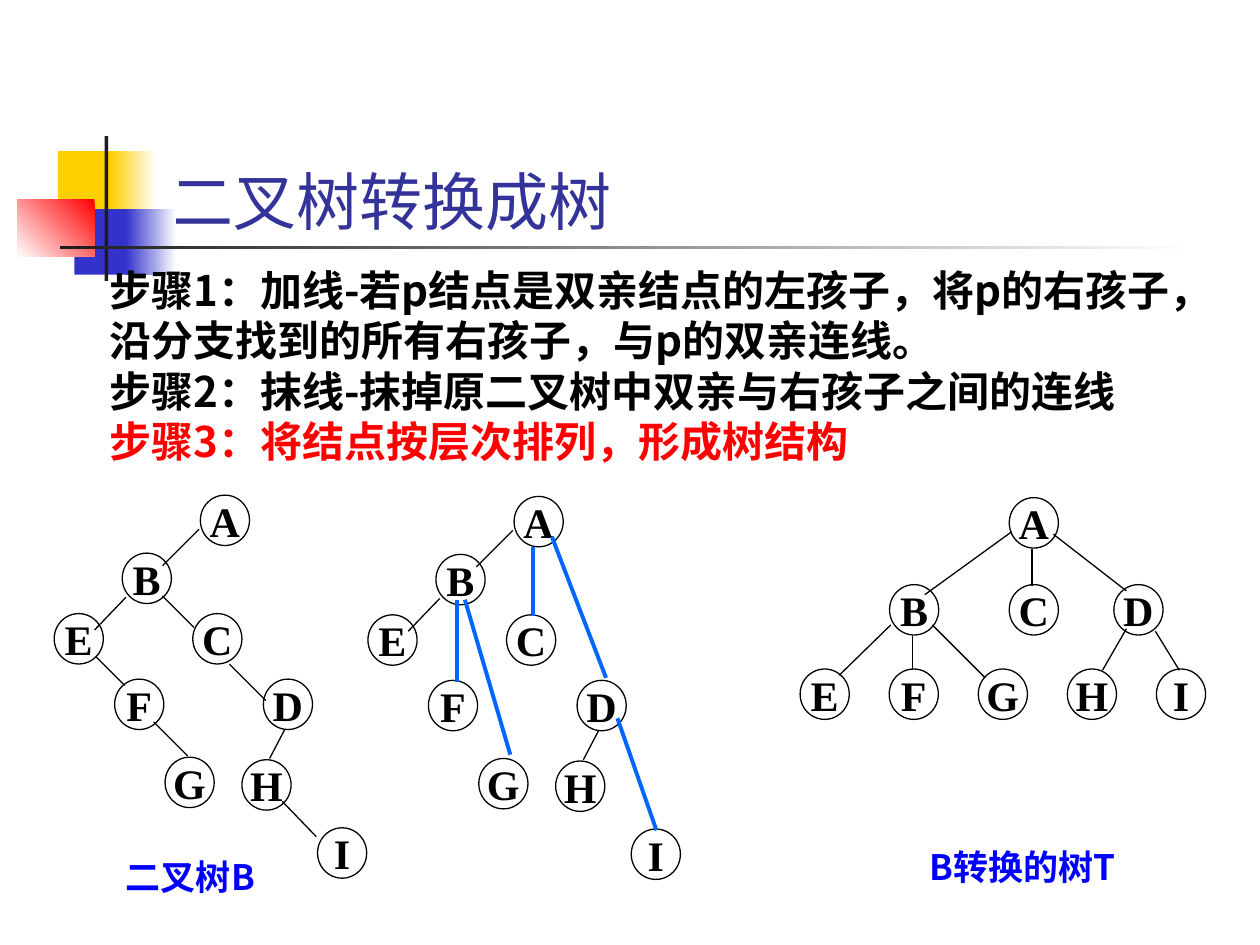
import pptx
import pptx.util
import pptx.dml.color
import pptx.enum.shapes
import pptx.enum.text
import pptx.oxml
import pptx.oxml.ns

WIDTH, HEIGHT = 10, 7.5
CELL = 0.1
NODE_WIDTH, NODE_HEIGHT = 3.9, 4.0
COLORS = {
    "black": "000000", "white": "FFFFFF", "ink": "1C1C1C", "title": "333399",
    "gold": "FFCF01", "indigo": "3333CC", "red": "FF0000", "caption": "0000FF",
    "added": "0066FF",
}

BINARY_NODES = {
    "A": (11.6, 0), "B": (5.4, 4.6), "C": (11, 9.4), "D": (16.6, 14.6),
    "E": (0, 9.4), "F": (4.8, 14.6), "G": (8.8, 20.8), "H": (14.9, 21),
    "I": (20.9, 26.4),
}
LEFT_LINKS = [
    (11.5, 2.7, 8.6, 5.6), (5.7, 8.1, 3.2, 10.7), (18.3, 18.6, 17.1, 20.9),
]
RIGHT_LINKS = [
    (3.3, 12.8, 5.6, 15.1), (7.9, 18, 10.6, 20.7), (8.6, 8, 11.1, 10.5),
    (13.9, 13.4, 16.8, 16.3), (18.1, 24.3, 20.8, 27.1),
]
ADDED_LINKS = [
    (13.1, 4, 13.1, 9.5), (14.6, 3.2, 18.9, 14.4), (7.1, 8.2, 7.1, 14.7),
    (7.7, 8.2, 11.3, 20.5), (19.8, 17.6, 22.9, 26.5),
]
TREE_NODES = {"A": (16.6, 0), "B": (7.1, 6.9), "C": (16.6, 6.9), "D": (24.9, 6.9)}
TREE_NODES.update({name: (7.07 * index, 13.6) for index, name in enumerate("EFGHI")})
TREE_LINKS = [
    (18.4, 4.1, 18.4, 7), (16.8, 2.7, 9.9, 7.7), (20.1, 2.9, 25.9, 7.4),
    (8.9, 11, 8.9, 13.7), (7.2, 10.1, 3.1, 14.1), (10.5, 10.1, 14.7, 14.3),
    (25.9, 10.4, 24, 13.7), (28.2, 10.6, 30.1, 13.7),
]


def color(name):
    return pptx.dml.color.RGBColor.from_string(COLORS[name])


def inches(*lengths):
    return [pptx.util.Inches(length) for length in lengths]


def style_para(para, size, font_name, tint, bold=False):
    para.font.size = pptx.util.Pt(size)
    para.font.name = font_name
    para.font.bold = bold
    para.font.color.rgb = color(tint)


def add_block(page, box, start, end=None, angle=180):
    block = page.shapes.add_shape(pptx.enum.shapes.MSO_SHAPE.RECTANGLE, *inches(*box))
    block.shadow.inherit = False
    block.line.fill.background()
    if end is None:
        block.fill.solid()
        block.fill.fore_color.rgb = color(start)
        return
    block.fill.gradient()
    block.fill.gradient_angle = angle
    for stop, tint in zip(block.fill.gradient_stops, (start, end)):
        stop.color.rgb = color(tint)


def add_ornament(page, left, top):
    blocks = [
        ((0.32, 0.12, 0.48, 0.52), "gold"),
        ((0.74, 0.12, 0.36, 0.52), "white", "gold"),
        ((0.45, 0.58, 0.46, 0.52), "indigo"),
        ((0.86, 0.58, 0.40, 0.52), "white", "indigo"),
        ((0, 0.5, 0.61, 0.46), "red", "white", 225),
        ((0.69, 0, 0.03, 1.15), "ink"),
        ((0.34, 0.87, 9, 0.03), "white", "ink"),
    ]
    for (across, down, width, height), *paint in blocks:
        add_block(page, (left + across, top + down, width, height), *paint)


def add_title(page, box, text):
    title = page.shapes.title
    title.left, title.top, title.width, title.height = inches(*box)
    frame = title.text_frame
    frame.text = text
    frame.vertical_anchor = pptx.enum.text.MSO_ANCHOR.BOTTOM
    para = frame.paragraphs[0]
    para.alignment = pptx.enum.text.PP_ALIGN.LEFT
    style_para(para, 36, "Karla", "title")


def add_text(page, box, lines, size, indent=0):
    frame = page.shapes.add_textbox(*inches(*box)).text_frame
    frame.word_wrap = True
    for index, (text, tint) in enumerate(lines):
        para = frame.add_paragraph() if index else frame.paragraphs[0]
        para.text = text
        para.line_spacing = pptx.util.Pt(size * 1.2)
        para._p.get_or_add_pPr().set("marL", str(pptx.util.Inches(indent)))
        style_para(para, size, "Noto Sans CJK SC", tint, True)


def add_node(page, left, top, name):
    node = page.shapes.add_shape(
        pptx.enum.shapes.MSO_SHAPE.OVAL,
        *inches(left, top, NODE_WIDTH * CELL, NODE_HEIGHT * CELL))
    node.shadow.inherit = False
    node.fill.background()
    node.line.color.rgb = color("black")
    node.line.width = pptx.util.Pt(0.75)
    frame = node.text_frame
    frame.word_wrap = False
    frame.vertical_anchor = pptx.enum.text.MSO_ANCHOR.MIDDLE
    para = frame.paragraphs[0]
    para.text = name
    para.alignment = pptx.enum.text.PP_ALIGN.CENTER
    style_para(para, 24, "Times New Roman", "black", True)


def add_link(page, ends, tint, weight):
    link = page.shapes.add_connector(
        pptx.enum.shapes.MSO_CONNECTOR.STRAIGHT, *inches(*ends))
    link.line.color.rgb = color(tint)
    link.line.width = pptx.util.Pt(weight)
    link._element.spPr.append(pptx.oxml.parse_xml(
        "<a:effectLst %s/>" % pptx.oxml.ns.nsdecls("a")))


def add_tree(page, left, top, nodes, links, added=()):
    for name, (column, row) in nodes.items():
        add_node(page, left + column * CELL, top + row * CELL, name)
    for group, tint, weight in ((links, "black", 0.75), (added, "added", 2.25)):
        for x1, y1, x2, y2 in group:
            ends = (left + x1 * CELL, top + y1 * CELL,
                    left + x2 * CELL, top + y2 * CELL)
            add_link(page, ends, tint, weight)


def main():
    deck = pptx.Presentation()
    deck.slide_width, deck.slide_height = inches(WIDTH, HEIGHT)
    page = deck.slides.add_slide(deck.slide_layouts[5])
    add_ornament(page, 0.14, 1.08)
    add_title(page, (1.25, 0.52, 8.25, 1.42), "二叉树转换成树")
    add_text(page, (0.27, 2.05, 9.45, 1.7), [
        ("步骤1：加线-若p结点是双亲结点的左孩子，将p的右孩子，沿分支找到的所有右孩子，与p的双亲连线。", "black"),
        ("步骤2：抹线-抹掉原二叉树中双亲与右孩子之间的连线", "black"),
        ("步骤3：将结点按层次排列，形成树结构", "red"),
    ], 24, 0.5)
    add_tree(page, 6.35, 3.95, TREE_NODES, TREE_LINKS)
    add_tree(page, 0.43, 3.93, BINARY_NODES, LEFT_LINKS + RIGHT_LINKS)
    add_text(page, (0.9, 6.74, 1.65, 0.44), [("二叉树B", "caption")], 20)
    add_tree(page, 2.92, 3.94, BINARY_NODES, LEFT_LINKS, ADDED_LINKS)
    add_text(page, (7.28, 6.66, 1.73, 0.44), [("B转换的树T", "caption")], 20)
    deck.save("out.pptx")


if __name__ == "__main__":
    main()
